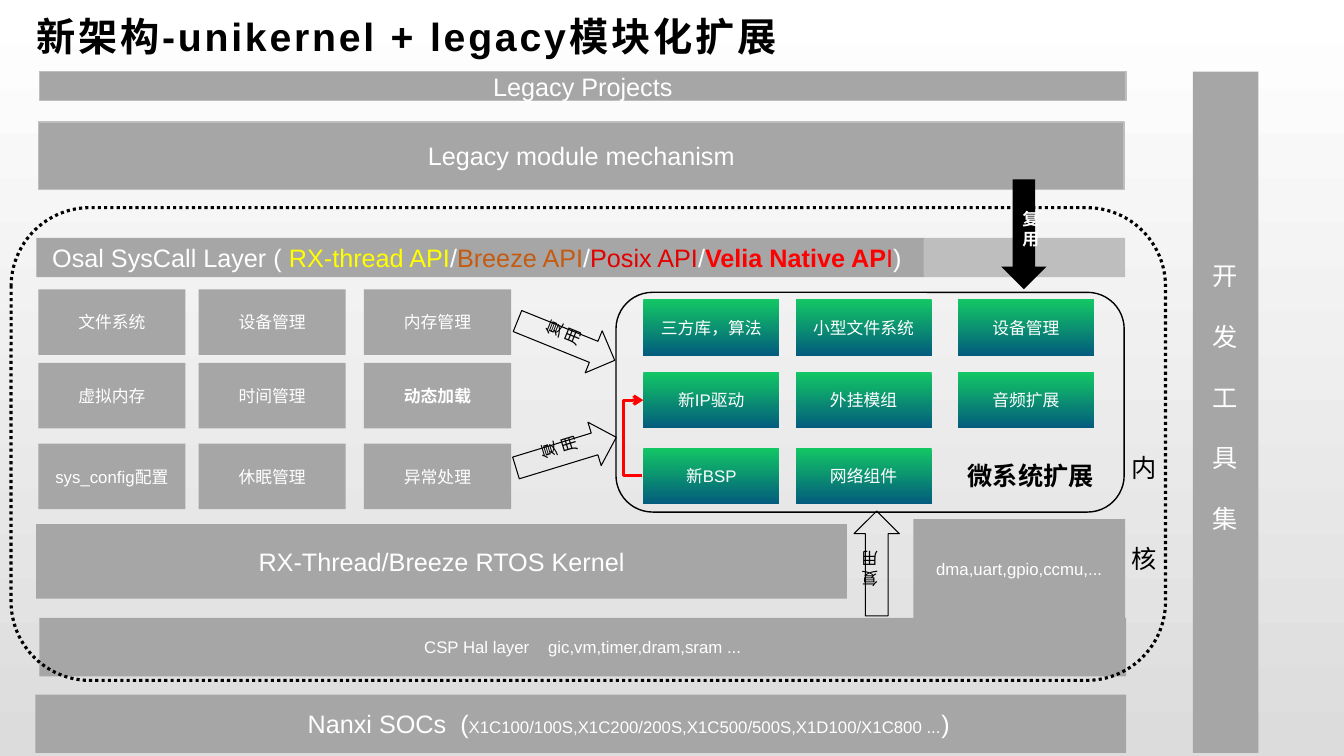
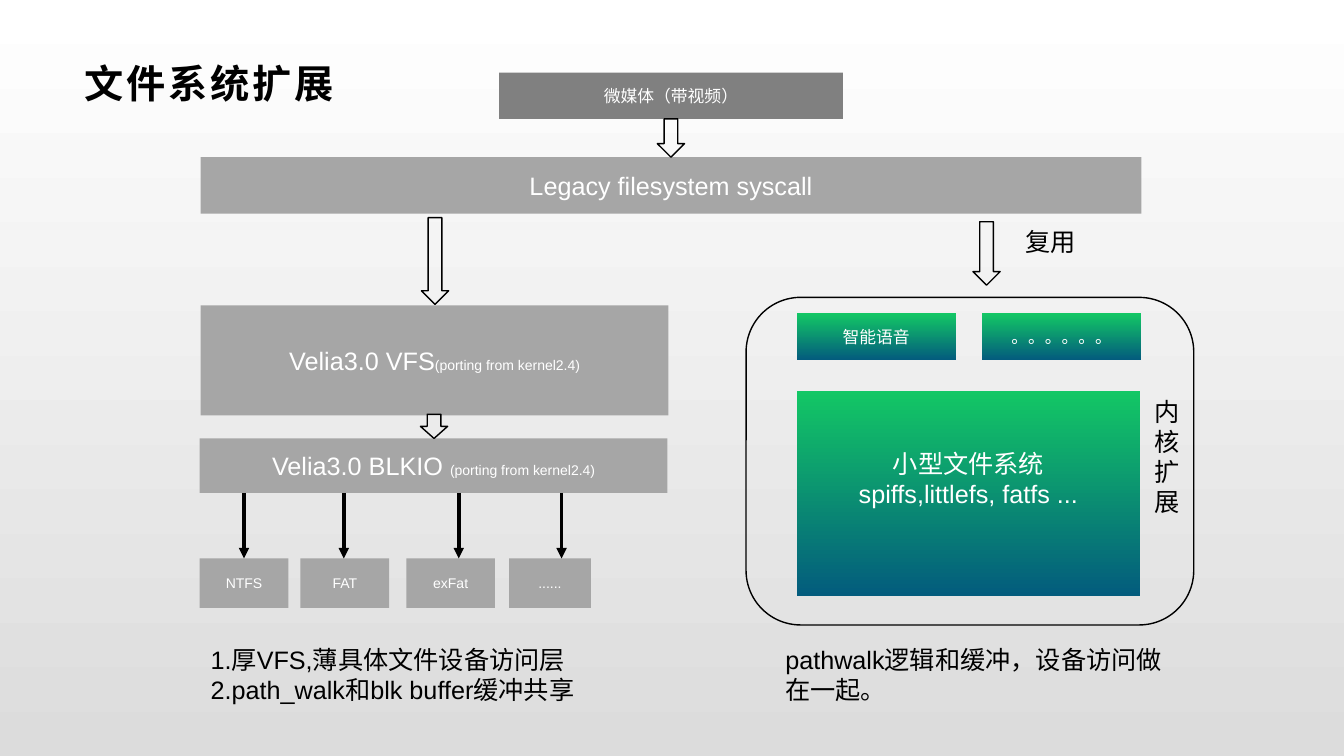
from dataclasses import dataclass
from itertools import product

from lxml.etree import SubElement
from pptx import Presentation
from pptx.dml.color import RGBColor
from pptx.enum.dml import MSO_LINE
from pptx.enum.shapes import MSO_CONNECTOR as Link, MSO_SHAPE as Shape
from pptx.enum.text import MSO_ANCHOR as Anchor, PP_ALIGN as Align
from pptx.oxml.ns import qn
from pptx.util import Inches, Pt


@dataclass(frozen=True)
class Theme:
    font: str = "Arial"
    black: str = "000000"
    white: str = "FFFFFF"
    grey: str = "A6A6A6"
    light_grey: str = "BEBEBE"
    dark_grey: str = "808080"
    red: str = "FF0000"
    deep_red: str = "E30000"
    yellow: str = "FFFF00"
    orange: str = "C55A11"
    backdrop: tuple = ("FFFFFF", "DCDCDC")
    extension: tuple = ("13C765", "035C7D")
    title: int = 28
    body: int = 18
    label: int = 12
    small: int = 10


@dataclass(frozen=True)
class Span:
    """A run of text that may differ from the style around it."""
    text: str
    size: int = None
    color: str = None
    bold: bool = None
    spacing: float = 0


T = Theme()


# --- Paint and text ---

def paint(fill, color):
    """Apply no fill, one colour, or a top-to-bottom pair."""
    if color is None:
        fill.background()
    elif isinstance(color, tuple):
        fill.gradient()
        fill.gradient_angle = 270
        for stop, tone, position in zip(fill.gradient_stops, color, (0, 1)):
            stop.color.rgb = RGBColor.from_string(tone)
            stop.position = position
    else:
        fill.solid()
        fill.fore_color.rgb = RGBColor.from_string(color)


def outline(line, color, width, dash=None):
    paint(line.fill, color)
    if color:
        line.width = Pt(width)
    if dash:
        line.dash_style = dash


def write(shape, paragraphs, size, color, bold=False, align=Align.LEFT,
          anchor=Anchor.TOP, gap=0, insets=(0.1, 0.05, 0.1, 0.05)):
    """Fill a shape; each paragraph is a string or a list of spans."""
    frame = shape.text_frame
    frame.word_wrap = True
    frame.vertical_anchor = anchor
    (frame.margin_left, frame.margin_top,
     frame.margin_right, frame.margin_bottom) = map(Inches, insets)
    for index, spans in enumerate(paragraphs):
        paragraph = frame.add_paragraph() if index else frame.paragraphs[0]
        paragraph.alignment = align
        if index:
            paragraph.space_before = Pt(gap)
        for span in [Span(spans)] if isinstance(spans, str) else spans:
            run = paragraph.add_run()
            run.text = span.text
            font = run.font
            font.name = T.font
            font.size = Pt(span.size or size)
            font.bold = bold if span.bold is None else span.bold
            font.color.rgb = RGBColor.from_string(span.color or color)
            if span.spacing:
                run._r.get_or_add_rPr().set("spc", str(round(span.spacing * 100)))


# --- Kinds of element ---

def add_figure(slide, kind, at, fill=None, line=None, width=1, dash=None):
    figure = slide.shapes.add_shape(kind, *map(Inches, at))
    figure.shadow.inherit = False
    paint(figure.fill, fill)
    outline(figure.line, line, width, dash)
    return figure


def add_box(slide, at, *paragraphs, fill=T.grey, size=T.body, line=None, **style):
    box = add_figure(slide, Shape.RECTANGLE, at, fill, line)
    write(box, paragraphs, size, T.white, align=Align.CENTER,
          anchor=Anchor.MIDDLE, **style)


def add_grid(slide, columns, rows, cell, labels, fill):
    """Place labelled tiles row by row; a tile without a label is skipped."""
    for (top, left), label in zip(product(rows, columns), labels):
        if label:
            add_box(slide, (left, top, *cell), label, fill=fill, size=T.label)


def add_frame(slide, at, width=1, dash=None):
    add_figure(slide, Shape.ROUNDED_RECTANGLE, at, None, T.black, width, dash)


def add_label(slide, at, *paragraphs, **style):
    label = slide.shapes.add_textbox(*map(Inches, at))
    write(label, paragraphs, T.body, T.black, **style)


def add_title(slide, left, top, text):
    title = slide.shapes.add_textbox(*map(Inches, (left, top, 11.87, 0.71)))
    write(title, [[Span(text, spacing=2)]], T.title, T.black, bold=True,
          anchor=Anchor.MIDDLE, insets=(0.11, 0.04, 0.08, 0.04))


def add_block_arrow(slide, at, rotation=0, fill=None, text=None, width=1):
    arrow = add_figure(slide, Shape.DOWN_ARROW, at, fill,
                       None if fill else T.black, width)
    arrow.rotation = rotation
    if text:
        write(arrow, [text], T.label, T.white if fill else T.black,
              bold=bool(fill), align=Align.CENTER, anchor=Anchor.MIDDLE)


def add_link(slide, kind, start, end, color, width, head, bend=None):
    link = slide.shapes.add_connector(kind, *map(Inches, (*start, *end)))
    outline(link.line, color, width)
    properties = link._element.spPr
    SubElement(properties.find(qn("a:ln")), qn("a:tailEnd"), type=head)
    SubElement(properties, qn("a:effectLst"))
    if bend is not None:
        guides = properties.find(qn("a:prstGeom")).find(qn("a:avLst"))
        SubElement(guides, qn("a:gd"), name="adj1",
                   fmla=f"val {round(bend * 100000)}")


# --- Slides ---

def build_architecture(slide):
    # Chips, kernel and system services
    add_box(slide, (0.35, 6.89, 10.82, 0.58), [
        Span("Nanxi SOCs"), Span(" ", spacing=5), Span("("),
        Span("X1C100/100S,X1C200/200S,X1C500/500S,X1D100/X1C800 ...", T.label),
        Span(")")], insets=(1.05, 0.05, 0.1, 0.05))
    add_box(slide, (0.36, 5.2, 8.04, 0.74), "RX-Thread/Breeze RTOS Kernel")
    add_grid(slide, (0.38, 1.97, 3.61), (2.87, 3.6, 4.4), (1.46, 0.65), (
        "文件系统", "设备管理", "内存管理",
        "虚拟内存", "时间管理", [Span("动态加载", bold=True)],
        "sys_config配置", "休眠管理", "异常处理"), T.grey)
    add_box(slide, (0.39, 6.13, 10.78, 0.58), [
        Span("CSP Hal layer"), Span(" ", spacing=10),
        Span("gic,vm,timer,dram,sram ...")], size=T.label)
    add_box(slide, (0.36, 2.36, 8.81, 0.39), [
        Span("Osal SysCall Layer ( "), Span("RX-thread API", color=T.yellow),
        Span("/"), Span("Breeze API", color=T.orange),
        Span("/"), Span("Posix API", color=T.deep_red),
        Span("/"), Span("Velia Native AP", color=T.red, bold=True),
        Span("I", color=T.red), Span(") ")])

    # Kernel boundary and tool column
    add_frame(slide, (0.11, 2.06, 11.45, 4.69), 2.25, MSO_LINE.ROUND_DOT)
    add_label(slide, (11.12, 4.44, 0.48, 1.31), "内", "核", gap=43)
    add_box(slide, (11.83, 0.71, 0.65, 6.76), *"开发工具集", gap=21.7,
            insets=(0.1, 0.05, 0.1, 0.35))

    # Title and legacy layers
    add_title(slide, 0.25, 0, "新架构-unikernel + legacy模块化扩展")
    add_box(slide, (0.38, 1.21, 10.77, 0.67), "Legacy module mechanism",
            line=T.light_grey)
    add_box(slide, (0.39, 0.71, 10.78, 0.29), "Legacy Projects",
            line=T.light_grey)
    add_box(slide, (9.06, 5.15, 2.1, 0.98), "dma,uart,gpio,ccmu,...",
            size=T.label)

    # Microsystem extension
    add_frame(slide, (6.11, 2.9, 5.04, 2.18))
    add_grid(slide, (6.38, 7.89, 9.5), (2.97, 3.69, 4.44), (1.35, 0.56), (
        "三方库，算法", "小型文件系统", "设备管理",
        "新IP驱动", "外挂模组", "音频扩展",
        "新BSP", "网络组件", None), T.extension)
    add_label(slide, (9.5, 4.52, 1.53, 0.4), "微系统扩展", bold=True)

    # Reuse arrows
    add_figure(slide, Shape.RECTANGLE, (9.16, 2.36, 2, 0.39), T.light_grey)
    add_block_arrow(slide, (9.93, 1.78, 0.45, 1.09), fill=T.black, text="复用")
    for left, top, rotation in ((8.47, 5.07, 180), (5.39, 3.97, 253),
                                (5.39, 2.86, 292)):
        add_block_arrow(slide, (left, top, 0.45, 1.04), rotation,
                        text="复用", width=0.75)
    add_link(slide, Link.ELBOW, (6.37, 4.72), (6.38, 3.97), T.red, 2.25,
             "arrow", bend=-19)


def build_file_system(slide):
    add_title(slide, 0.73, 0.47, "文件系统扩展")
    porting = Span("(porting from kernel2.4)", T.small)

    # Call path
    add_box(slide, (4.95, 0.72, 3.41, 0.46), "微媒体（带视频）",
            fill=T.dark_grey, size=T.label)
    add_box(slide, (1.99, 1.56, 9.33, 0.56), "Legacy filesystem syscall")
    add_box(slide, (1.99, 3.03, 4.64, 1.09), [Span("Velia3.0 VFS"), porting])
    add_box(slide, (1.98, 4.35, 4.64, 0.54), [Span("Velia3.0 BLKIO "), porting])
    for left, top, height in ((6.52, 1.18, 0.38), (4.18, 2.16, 0.86),
                              (4.17, 4.11, 0.24), (9.65, 2.2, 0.63)):
        add_block_arrow(slide, (left, top, 0.27, height))
    add_label(slide, (10.07, 2.2, 0.91, 0.4), "复用")

    # File system drivers
    for name, left, width, link_x in (
            ("NTFS", 1.98, 0.88, 2.42), ("FAT", 2.98, 0.88, 3.41),
            ("exFat", 4.03, 0.88, 4.55), ("......", 5.05, 0.81, 5.57)):
        add_box(slide, (left, 5.54, width, 0.49), name, size=T.small)
        add_link(slide, Link.STRAIGHT, (link_x, 4.89), (link_x, 5.54),
                 T.black, 2.5, "triangle")

    # Kernel extension
    add_frame(slide, (7.4, 2.95, 4.44, 3.25))
    add_grid(slide, (7.9, 9.74), (3.11,), (1.58, 0.46),
             ("智能语音", "。。。。。。"), T.extension)
    add_box(slide, (7.9, 3.88, 3.41, 2.03), "小型文件系统",
            "spiffs,littlefs, fatfs ...", fill=T.extension,
            insets=(0.1, 0.05, 0.1, 0.35))
    add_label(slide, (11.35, 3.88, 0.48, 1.31), "内", "核", "扩展")

    # Remarks
    add_label(slide, (1.99, 6.34, 3.97, 0.71), "1.厚VFS,薄具体文件设备访问层",
              "2.path_walk和blk buffer缓冲共享")
    add_label(slide, (7.69, 6.34, 3.96, 0.71),
              "pathwalk逻辑和缓冲，设备访问做在一起。")


def main():
    deck = Presentation()
    deck.slide_width, deck.slide_height = Inches(13.33), Inches(7.5)
    paint(deck.slide_master.background.fill, T.backdrop)
    blank = deck.slide_layouts[6]
    for build in (build_architecture, build_file_system):
        build(deck.slides.add_slide(blank))
    deck.save("out.pptx")


if __name__ == "__main__":
    main()
